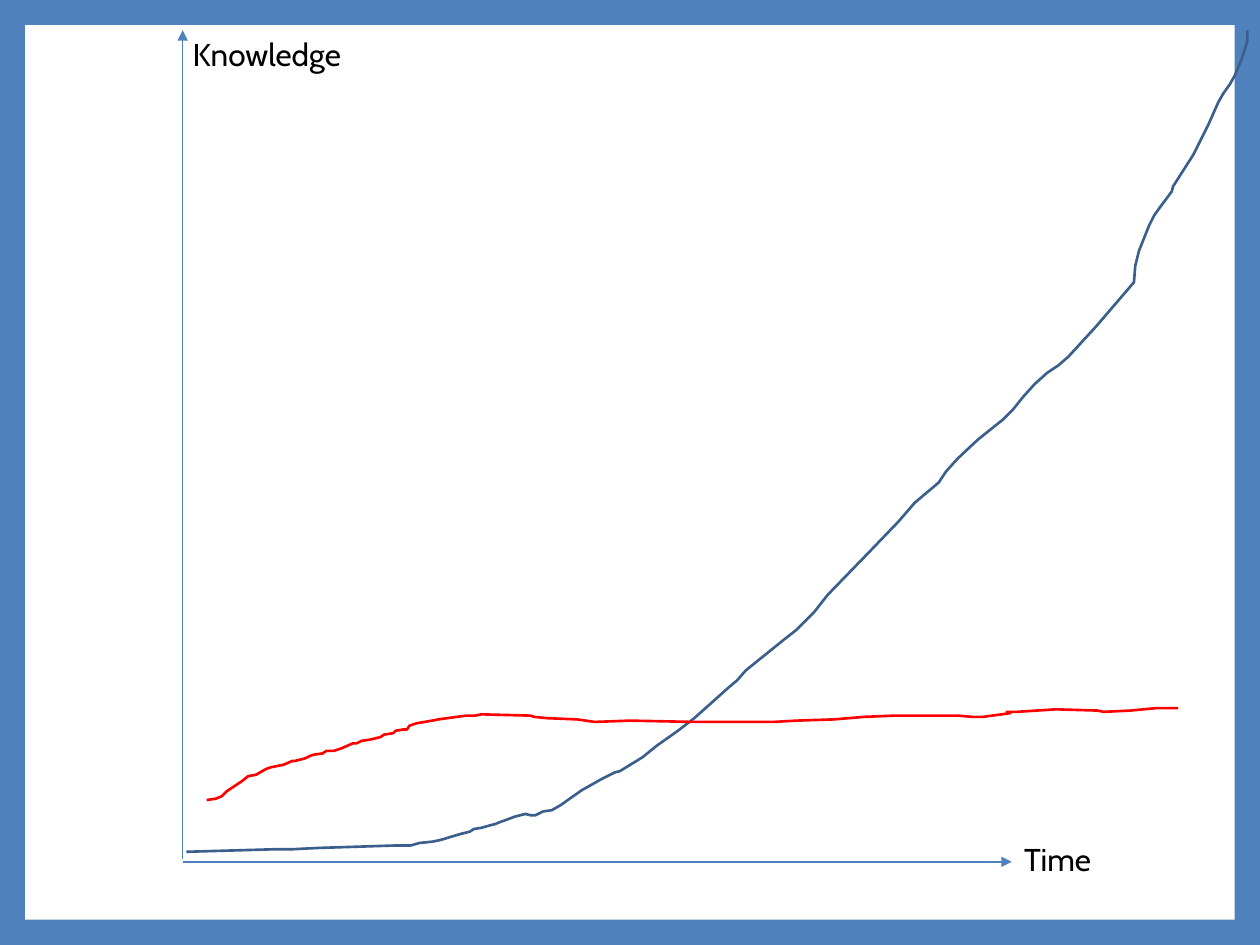
from pptx import Presentation
from pptx.dml.color import RGBColor
from pptx.enum.shapes import MSO_CONNECTOR as Connector, MSO_SHAPE as Shape
from pptx.enum.text import MSO_AUTO_SIZE as AutoSize
from pptx.oxml.ns import qn
from pptx.util import Inches, Pt
from lxml.etree import SubElement

BLUE = RGBColor(0x4F, 0x81, 0xBD)
DARK_BLUE = RGBColor(0x3A, 0x5F, 0x8C)
RED = RGBColor(0xFF, 0x00, 0x00)
WHITE = RGBColor(0xFF, 0xFF, 0xFF)
BLACK = RGBColor(0x00, 0x00, 0x00)
FONT = "Cabin"
BORDER = 0.2
ORIGIN_X, ORIGIN_Y = 1.45, 6.84

RISING_CURVE = [
    (1.48, 6.76), (2.18, 6.74), (2.32, 6.74), (2.52, 6.73), (3.15, 6.71),
    (3.26, 6.71), (3.33, 6.69), (3.43, 6.68), (3.48, 6.67), (3.52, 6.66),
    (3.55, 6.65), (3.65, 6.62), (3.73, 6.6), (3.76, 6.58), (3.82, 6.57),
    (3.89, 6.55), (3.93, 6.54), (3.98, 6.52), (4.01, 6.51), (4.09, 6.48),
    (4.17, 6.46), (4.21, 6.47), (4.25, 6.47), (4.31, 6.44), (4.38, 6.43),
    (4.45, 6.39), (4.52, 6.34), (4.62, 6.27), (4.78, 6.18), (4.88, 6.13),
    (4.92, 6.12), (5.1, 6.01), (5.21, 5.92), (5.38, 5.8), (5.51, 5.7),
    (5.79, 5.45), (5.85, 5.4), (5.92, 5.32), (6.23, 5.07), (6.32, 5.0),
    (6.46, 4.86), (6.57, 4.72), (6.9, 4.38), (7.13, 4.14), (7.26, 3.99),
    (7.45, 3.83), (7.51, 3.74), (7.6, 3.64), (7.76, 3.49), (7.86, 3.41),
    (7.96, 3.33), (8.04, 3.25), (8.12, 3.15), (8.21, 3.05), (8.31, 2.96),
    (8.4, 2.9), (8.48, 2.83), (8.7, 2.59), (9.0, 2.24), (9.01, 2.11),
    (9.04, 1.99), (9.12, 1.79), (9.16, 1.71), (9.21, 1.64), (9.3, 1.52),
    (9.31, 1.48), (9.38, 1.37), (9.47, 1.23), (9.54, 1.09), (9.59, 0.99),
    (9.67, 0.81), (9.71, 0.74), (9.76, 0.67), (9.8, 0.6), (9.85, 0.48),
    (9.88, 0.39), (9.9, 0.32), (9.9, 0.24),
]
FLAT_CURVE = [
    (1.64, 6.35), (1.71, 6.34), (1.76, 6.32), (1.8, 6.28), (1.92, 6.2),
    (1.97, 6.16), (2.03, 6.15), (2.1, 6.11), (2.12, 6.1), (2.15, 6.09),
    (2.2, 6.08), (2.25, 6.07), (2.32, 6.04), (2.34, 6.04), (2.42, 6.02),
    (2.46, 6.0), (2.49, 5.99), (2.56, 5.98), (2.59, 5.96), (2.65, 5.96),
    (2.71, 5.94), (2.8, 5.9), (2.83, 5.9), (2.87, 5.88), (2.94, 5.87),
    (3.02, 5.85), (3.05, 5.83), (3.12, 5.82), (3.14, 5.8), (3.2, 5.79),
    (3.23, 5.79), (3.25, 5.76), (3.31, 5.74), (3.37, 5.73), (3.43, 5.72),
    (3.48, 5.71), (3.55, 5.7), (3.7, 5.68), (3.77, 5.68), (3.82, 5.67),
    (4.21, 5.68), (4.24, 5.69), (4.34, 5.7), (4.58, 5.71), (4.72, 5.73),
    (5.0, 5.72), (5.5, 5.73), (6.14, 5.73), (6.32, 5.72), (6.62, 5.71),
    (6.86, 5.69), (7.1, 5.68), (7.6, 5.68), (7.72, 5.69), (7.8, 5.69),
    (7.95, 5.67), (8.02, 5.66), (7.99, 5.65), (8.07, 5.65), (8.38, 5.63),
    (8.71, 5.64), (8.76, 5.65), (8.97, 5.64), (9.18, 5.62), (9.28, 5.62),
    (9.35, 5.62),
]


def add_panel(slide, width, height):
    """Add the white panel that leaves a border of background colour."""
    sp = slide.shapes.add_shape(
        Shape.RECTANGLE, Inches(BORDER), Inches(BORDER),
        Inches(width - 2 * BORDER), Inches(height - 2 * BORDER))
    sp.shadow.inherit = False
    sp.fill.solid()
    sp.fill.fore_color.rgb = WHITE
    sp.line.fill.background()


def add_axis(slide, start, end):
    """Add an axis line with an arrowhead at its end."""
    axis = slide.shapes.add_connector(
        Connector.STRAIGHT, *(Inches(v) for v in (*start, *end)))
    axis.line.color.rgb = BLUE
    axis.line.width = Pt(0.79)
    sp_pr = axis.element.spPr
    SubElement(sp_pr.find(qn("a:ln")), qn("a:tailEnd"), type="triangle")
    SubElement(sp_pr, qn("a:effectLst"))


def add_label(slide, text, left, top, width):
    """Add the name of an axis."""
    box = slide.shapes.add_textbox(
        Inches(left), Inches(top), Inches(width), Inches(0.4))
    tf = box.text_frame
    tf.word_wrap = False
    tf.auto_size = AutoSize.SHAPE_TO_FIT_TEXT
    tf.text = text
    font = tf.paragraphs[0].runs[0].font
    font.name = FONT
    font.size = Pt(18)
    font.color.rgb = BLACK


def add_curve(slide, points, color):
    """Add an open, hand-drawn curve through the points."""
    start, *rest = [(Inches(x), Inches(y)) for x, y in points]
    builder = slide.shapes.build_freeform(*start)
    builder.add_line_segments(rest, close=False)
    sp = builder.convert_to_shape()
    sp.shadow.inherit = False
    sp.fill.background()
    sp.line.color.rgb = color
    sp.line.width = Pt(1.5)


def main():
    """Build the slide of knowledge over time."""
    prs = Presentation()
    width, height = 10, 7.5
    prs.slide_width, prs.slide_height = Inches(width), Inches(height)
    slide = prs.slides.add_slide(prs.slide_layouts[6])
    slide.background.fill.solid()
    slide.background.fill.fore_color.rgb = BLUE

    add_panel(slide, width, height)
    add_axis(slide, (ORIGIN_X, ORIGIN_Y), (8.03, ORIGIN_Y))
    add_axis(slide, (ORIGIN_X, 6.82), (ORIGIN_X, 0.24))
    add_label(slide, "Time", 8.03, 6.62, 0.73)
    add_label(slide, "Knowledge", 1.43, 0.23, 1.38)
    add_curve(slide, RISING_CURVE, DARK_BLUE)
    add_curve(slide, FLAT_CURVE, RED)
    prs.save("out.pptx")


if __name__ == "__main__":
    main()
